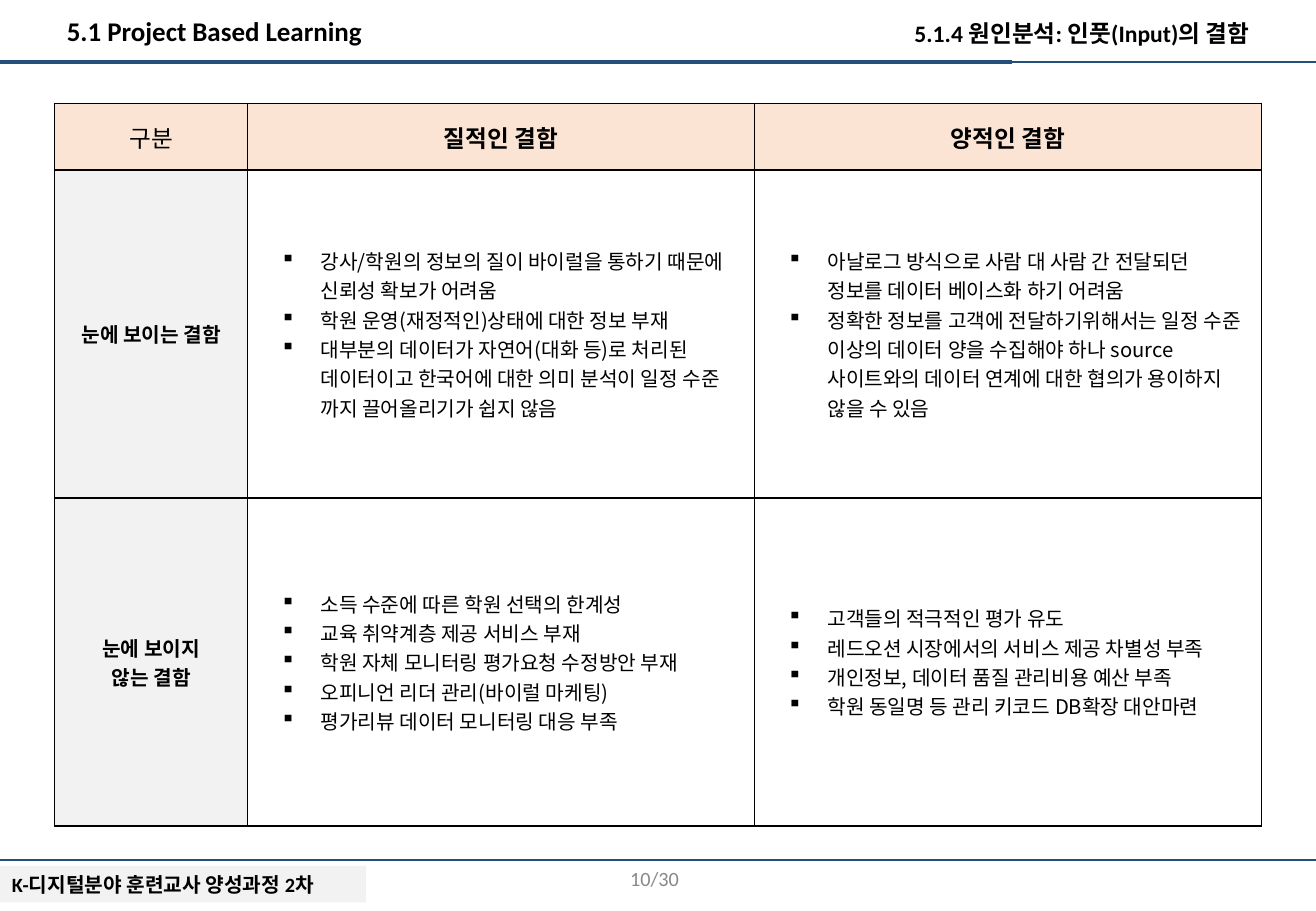
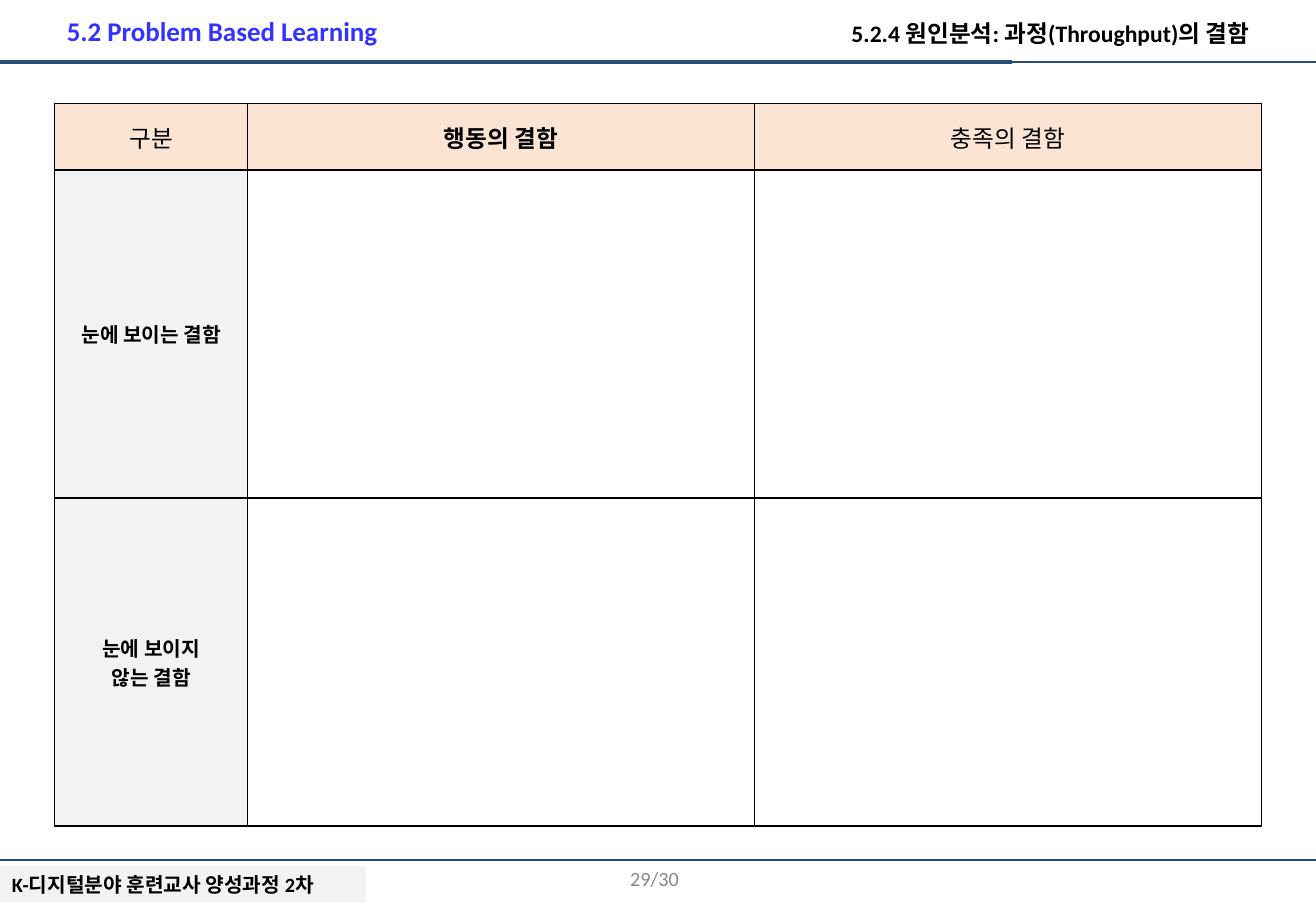
from collections import namedtuple
from dataclasses import dataclass

from lxml import etree
from pptx import Presentation
from pptx.dml.color import RGBColor
from pptx.enum.shapes import MSO_CONNECTOR, MSO_SHAPE
from pptx.enum.text import MSO_ANCHOR, MSO_AUTO_SIZE, PP_ALIGN
from pptx.oxml.ns import qn
from pptx.util import Inches, Pt

LEFT, CENTER, RIGHT = PP_ALIGN.LEFT, PP_ALIGN.CENTER, PP_ALIGN.RIGHT
TOP, MIDDLE = MSO_ANCHOR.TOP, MSO_ANCHOR.MIDDLE
TITLE_ONLY = 5

Box = namedtuple("Box", "x y w h")
Row = namedtuple("Row", "label cells")


@dataclass(frozen=True)
class Theme:
    black: str = "000000"
    white: str = "FFFFFF"
    navy: str = "244F7A"
    blue: str = "3333FF"
    peach: str = "FBE4D4"
    grey: str = "F2F2F2"
    muted: str = "888888"
    title_font: str = "Calibri"
    table_font: str = "Arial"
    list_font: str = "Noto Sans CJK KR"
    title: int = 16
    heading: int = 14
    text: int = 12


T = Theme()
PAGE = Box(0, 0, 10.83, 7.5)
MARGIN = 0.45
HEADER = Box(MARGIN, 0, PAGE.w - 2 * MARGIN, 0.51)
CONTENT = Box(MARGIN, 0.85, PAGE.w - 2 * MARGIN, 5.95)
FOOTER = Box(0, 7.08, PAGE.w, 0.42)
COLUMN_SHARES = (0.16, 0.42, 0.42)
HEAD_ROW = 0.55
ACCENT_SHARE = 10 / 13


def rgb(color):
    return RGBColor.from_string(color)


def inches(*lengths):
    return [Inches(v) for v in lengths]


def style(tf, size, font, color=T.black, bold=False, align=LEFT):
    for p in tf.paragraphs:
        p.alignment = align
        p.font.size, p.font.name, p.font.bold = Pt(size), font, bold
        p.font.color.rgb = rgb(color)


def add_text(s, box, text, size, color, bold, align, anchor=TOP):
    tf = s.shapes.add_textbox(*inches(*box)).text_frame
    tf.word_wrap, tf.vertical_anchor, tf.text = True, anchor, text
    style(tf, size, T.title_font, color, bold, align)


def add_rule(s, y, width, weight):
    line = s.shapes.add_connector(MSO_CONNECTOR.STRAIGHT, *inches(0, y, width, y))
    line.line.color.rgb, line.line.width = rgb(T.navy), Pt(weight)
    etree.SubElement(line.element.spPr, qn("a:effectLst"))
    return line


def add_frame(s, layout):
    """Draw the shared rules and course label, then hand them to the layout."""
    label = s.shapes.add_shape(
        MSO_SHAPE.RECTANGLE, *inches(0, FOOTER.y + 0.05, PAGE.w * 0.278, 0.3))
    label.shadow.inherit = False
    label.fill.solid()
    label.fill.fore_color.rgb = rgb(T.grey)
    label.line.fill.background()
    tf = label.text_frame
    tf.text, tf.vertical_anchor = "K-디지털분야 훈련교사 양성과정 2차", TOP
    tf.auto_size = MSO_AUTO_SIZE.SHAPE_TO_FIT_TEXT
    style(tf, T.text, T.title_font, bold=True)

    rules = [add_rule(s, HEADER.h, PAGE.w, 0.75),
             add_rule(s, HEADER.h, PAGE.w * ACCENT_SHARE, 2.5),
             add_rule(s, FOOTER.y, PAGE.w, 0.75)]
    for part in [label, *rules]:
        layout.shapes.element.append(part.element)


def add_header(s, box, title, subtitle, color):
    ph = s.shapes.title
    ph.left, ph.top, ph.width, ph.height = inches(box.x, 0.07, box.w / 3, 0.37)
    tf = ph.text_frame
    tf.text, tf.vertical_anchor = title, TOP
    tf.auto_size = MSO_AUTO_SIZE.NONE
    style(tf, T.title, T.title_font, color, True)
    width = box.w * 0.4
    add_text(s, Box(box.x + box.w - width, 0.11, width, 0.34),
             subtitle, T.heading, T.black, True, RIGHT)


def add_page_number(s, box, text):
    add_text(s, Box(box.w * 0.3, box.y - 0.05, box.w * 0.225, 0.4),
             text, T.text, T.muted, False, RIGHT, MIDDLE)


def add_bullets(tf):
    for p in tf.paragraphs:
        pPr = p._p.get_or_add_pPr()
        pPr.set("marL", str(Inches(0.5)))
        pPr.set("indent", str(Inches(-0.33)))
        bullet = etree.Element(qn("a:buChar"), char="▪")
        pPr.insert(0, bullet)


def add_borders(cell):
    tcPr = cell._tc.get_or_add_tcPr()
    for i, side in enumerate(("lnL", "lnR", "lnT", "lnB")):
        ln = etree.Element(qn(f"a:{side}"), w=str(Pt(1)))
        fill = etree.SubElement(ln, qn("a:solidFill"))
        etree.SubElement(fill, qn("a:srgbClr"), val=T.black)
        tcPr.insert(i, ln)


def fill_cell(cell, text, fill, size=T.text, font=T.table_font, bold=False, align=CENTER):
    cell.fill.solid()
    cell.fill.fore_color.rgb = rgb(fill)
    cell.vertical_anchor = MIDDLE
    cell.text = text
    style(cell.text_frame, size, font, bold=bold, align=align)
    add_borders(cell)


def add_defect_table(s, box, headings, rows):
    """headings: (text, bold) pairs; rows: a label and one list per column."""
    table = s.shapes.add_table(
        len(rows) + 1, len(headings), *inches(*box)).table
    table.first_row = table.horz_banding = False
    for column, share in zip(table.columns, COLUMN_SHARES):
        column.width = Inches(box.w * share)
    table.rows[0].height = Inches(HEAD_ROW)

    for c, (text, bold) in enumerate(headings):
        fill_cell(table.cell(0, c), text, T.peach, T.heading, bold=bold)
    for r, row in enumerate(rows, 1):
        table.rows[r].height = Inches((box.h - HEAD_ROW) / len(rows))
        fill_cell(table.cell(r, 0), row.label, T.grey, bold=True)
        for c, items in enumerate(row.cells, 1):
            cell = table.cell(r, c)
            fill_cell(cell, "\n".join(items), T.white, font=T.list_font, align=LEFT)
            if items:
                add_bullets(cell.text_frame)


VISIBLE, HIDDEN = "눈에 보이는 결함", "눈에 보이지\n않는 결함"

SLIDES = [
    dict(
        title="5.1 Project Based Learning", color=T.black, page="10/30",
        subtitle="5.1.4 원인분석: 인풋(Input)의 결함",
        headings=[("구분", False), ("질적인 결함", True), ("양적인 결함", True)],
        rows=[
            Row(VISIBLE, [
                ["강사/학원의 정보의 질이 바이럴을 통하기 때문에 신뢰성 확보가 어려움",
                 "학원 운영(재정적인)상태에 대한 정보 부재",
                 "대부분의 데이터가 자연어(대화 등)로 처리된 데이터이고 한국어에 대한 "
                 "의미 분석이 일정 수준 까지 끌어올리기가 쉽지 않음"],
                ["아날로그 방식으로 사람 대 사람 간 전달되던 정보를 데이터 베이스화 하기 어려움",
                 "정확한 정보를 고객에 전달하기위해서는 일정 수준 이상의 데이터 양을 수집해야 "
                 "하나 source 사이트와의 데이터 연계에 대한 협의가 용이하지 않을 수 있음"]]),
            Row(HIDDEN, [
                ["소득 수준에 따른 학원 선택의 한계성",
                 "교육 취약계층 제공 서비스 부재",
                 "학원 자체 모니터링 평가요청 수정방안 부재",
                 "오피니언 리더 관리(바이럴 마케팅)",
                 "평가리뷰 데이터 모니터링 대응 부족"],
                ["고객들의 적극적인 평가 유도",
                 "레드오션 시장에서의 서비스 제공 차별성 부족",
                 "개인정보, 데이터 품질 관리비용 예산 부족",
                 "학원 동일명 등 관리 키코드 DB확장 대안마련"]]),
        ]),
    dict(
        title="5.2 Problem Based Learning", color=T.blue, page="29/30",
        subtitle="5.2.4 원인분석: 과정(Throughput)의 결함",
        headings=[("구분", False), ("행동의 결함", True), ("충족의 결함", False)],
        rows=[Row(VISIBLE, [[], []]), Row(HIDDEN, [[], []])]),
]


def add_defect_slide(prs, layout, data):
    s = prs.slides.add_slide(layout)
    add_header(s, HEADER, data["title"], data["subtitle"], data["color"])
    add_defect_table(s, CONTENT, data["headings"], data["rows"])
    add_page_number(s, FOOTER, data["page"])
    return s


def main():
    prs = Presentation()
    prs.slide_width, prs.slide_height = inches(PAGE.w, PAGE.h)
    layout = prs.slide_layouts[TITLE_ONLY]
    slides = [add_defect_slide(prs, layout, data) for data in SLIDES]
    add_frame(slides[0], layout)
    prs.save("out.pptx")


if __name__ == "__main__":
    main()
